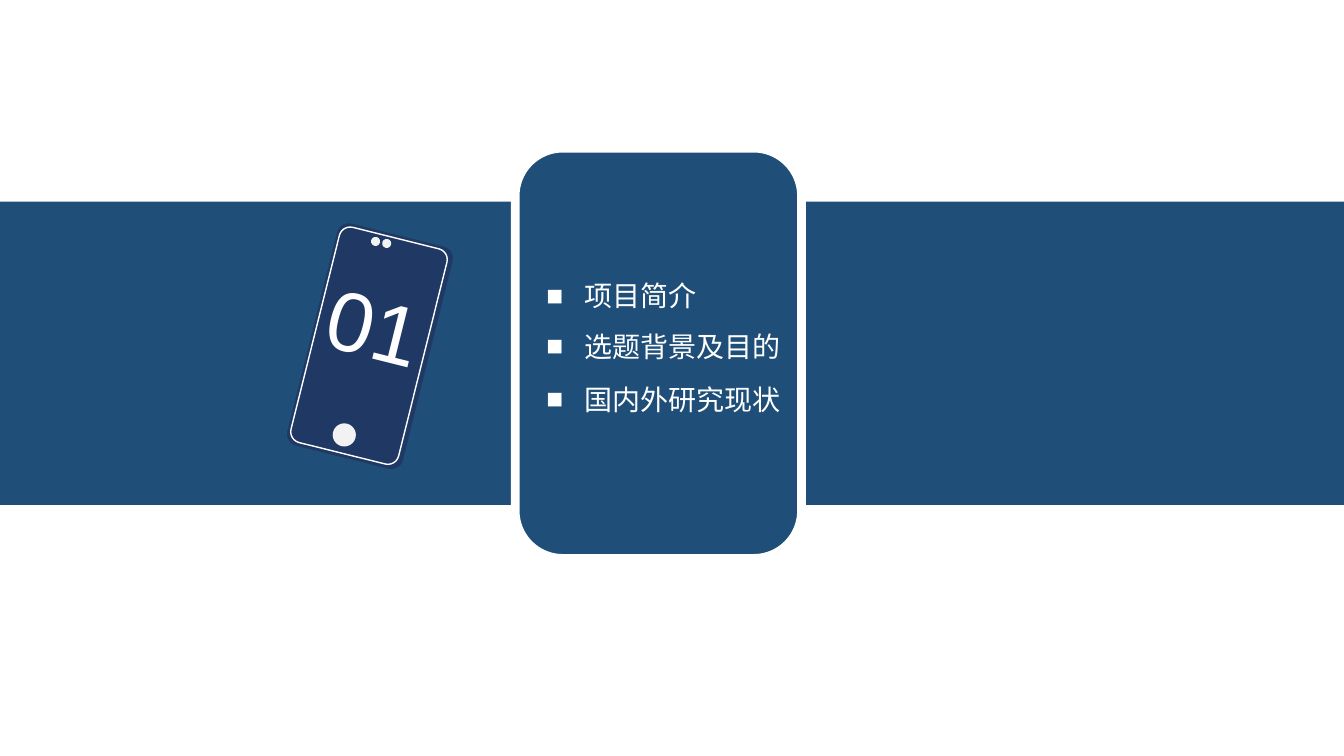
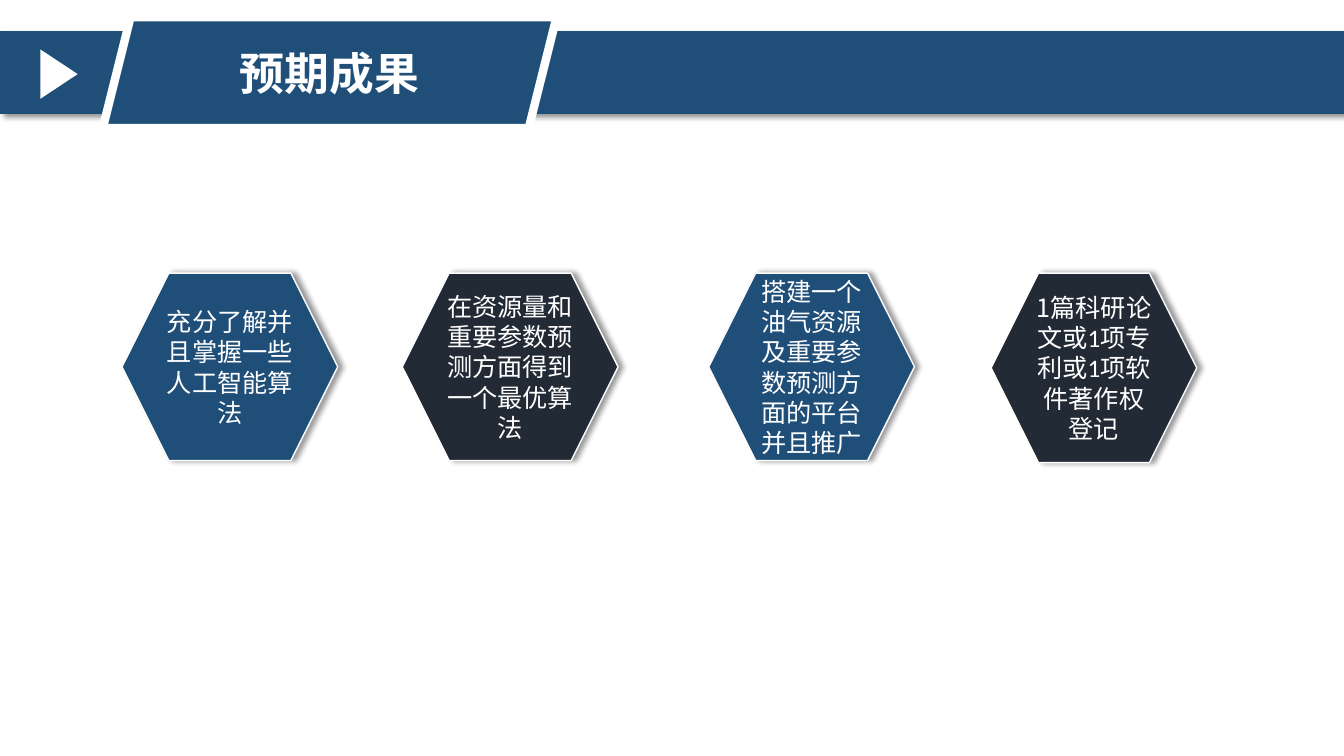
from lxml.etree import SubElement as Sub
from pptx import Presentation as Deck
from pptx.dml.color import RGBColor as Rgb
from pptx.enum.shapes import MSO_SHAPE as Kind
from pptx.enum.text import MSO_ANCHOR as Anchor, MSO_AUTO_SIZE as Fit, PP_ALIGN as Align
from pptx.oxml.ns import qn
from pptx.util import Inches, Pt

BLUE = Rgb(0x1F, 0x4E, 0x79)
NAVY = Rgb(0x20, 0x38, 0x64)
DARK = Rgb(0x22, 0x2A, 0x35)
PALE = Rgb(0xF2, 0xF2, 0xF2)
WHITE = Rgb(0xFF, 0xFF, 0xFF)
BODY = "Calibri"
WIDE, HIGH = 13.33, 7.5
TILT = 14


def place(box):
    """Turn a box in inches into lengths."""
    return [Inches(n) for n in box]


def draw(slide, kind, box, fill=None, line=0, turn=0, round=None):
    """Draw a flat shape with an optional white outline."""
    shape = slide.shapes.add_shape(kind, *place(box))
    shape.shadow.inherit = False
    shape.rotation = turn
    if round is not None:
        shape.adjustments[0] = round
    if fill is None:
        shape.fill.background()
    else:
        shape.fill.solid()
        shape.fill.fore_color.rgb = fill
    if line:
        shape.line.color.rgb = WHITE
        shape.line.width = Pt(line)
    else:
        shape.line.fill.background()
    return shape


def shade(shape, angle):
    """Cast a soft black shadow at an angle in degrees."""
    effects = shape._element.spPr.find(qn("a:effectLst"))
    cast = Sub(effects, qn("a:outerShdw"), blurRad=str(Pt(4)), dist=str(Pt(3)),
               dir=str(angle * 60000), algn="tl", rotWithShape="0")
    tone = Sub(cast, qn("a:srgbClr"), val="000000")
    Sub(tone, qn("a:alpha"), val="40000")


def write(para, text, size, face=BODY, bold=False):
    """Add one white run to a paragraph."""
    run = para.add_run()
    run.text = text
    font = run.font
    font.name, font.size, font.bold = face, Pt(size), bold
    font.color.rgb = WHITE
    Sub(run._r.get_or_add_rPr(), qn("a:ea"), typeface=face)


def label(shape, runs, size, bold=False):
    """Centre a line of text and face pairs in a shape."""
    frame = shape.text_frame
    frame.word_wrap = True
    frame.vertical_anchor = Anchor.MIDDLE
    para = frame.paragraphs[0]
    para.alignment = Align.CENTER
    for text, face in runs:
        write(para, text, size, face, bold)


def text_box(slide, box, wrap):
    """Add a text box that grows with its text."""
    shape = slide.shapes.add_textbox(*place(box))
    shape.text_frame.word_wrap = wrap
    shape.text_frame.auto_size = Fit.SHAPE_TO_FIT_TEXT
    return shape


def phone(slide, box, number):
    """Draw a tilted phone that shows a section number."""
    left, top, width, height = box
    edge = 0.03
    inner = (left + edge, top + edge, width - 0.08, height - 0.07)
    draw(slide, Kind.ROUNDED_RECTANGLE, box, NAVY, turn=TILT, round=0.1)
    draw(slide, Kind.ROUNDED_RECTANGLE, inner, line=1, turn=TILT, round=0.1)
    screen = text_box(slide, (left + 0.07, top + 0.39, 1.28, 1.11), True)
    screen.rotation = TILT
    write(screen.text_frame.paragraphs[0], number, 60, "Arial")
    for right, down, size in ((0.22, 1.9, 0.23), (0.6, 0.05, 0.09), (0.71, 0.07, 0.09)):
        draw(slide, Kind.OVAL, (left + right, top + down, size, size), PALE, turn=TILT)


def points(slide, box, items):
    """Write a list with square bullets."""
    frame = text_box(slide, box, False).text_frame
    for spot, item in enumerate(items):
        para = frame.add_paragraph() if spot else frame.paragraphs[0]
        para.line_spacing = 1.5
        props = para._p.get_or_add_pPr()
        props.set("marL", str(Inches(0.38)))
        props.set("indent", str(Inches(-0.38)))
        Sub(props, qn("a:buFont"), typeface="Arial")
        Sub(props, qn("a:buChar"), char="■")
        write(para, item, 20)


def panel(slide, box, lists):
    """Draw a rounded card that holds lists at given depths."""
    left, top, width, height = box
    draw(slide, Kind.ROUNDED_RECTANGLE, box, BLUE, line=6.25)
    for down, wide, items in lists:
        points(slide, (left + 0.21, top + down, wide, 1.06), items)


def section(slide, number, lists):
    """Build a section slide."""
    draw(slide, Kind.RECTANGLE, (0, 2, WIDE, 3.01), BLUE)
    phone(slide, (3.08, 2.3, 1.18, 2.27), number)
    panel(slide, (5.11, 1.47, 2.84, 4.07), lists)


def header(slide, box, title):
    """Draw the title band with its arrow and slanted tab."""
    left, top, width, height = box
    shade(draw(slide, Kind.RECTANGLE, box, BLUE), 45)
    draw(slide, Kind.ISOSCELES_TRIANGLE, (left + 0.34, top + 0.24, 0.49, 0.37), WHITE, turn=90)
    tab = draw(slide, Kind.PARALLELOGRAM, (left + 1.02, top - 0.14, 4.5, 1.1), BLUE, line=6)
    label(tab, [(title, BODY)], 32, True)


def cells(slide, top, items):
    """Draw a row of hexagons in two colours by turns."""
    for spot, (left, width, height, runs) in enumerate(items):
        fill = DARK if spot % 2 else BLUE
        cell = draw(slide, Kind.HEXAGON, (left, top, width, height), fill, line=1)
        shade(cell, 0)
        label(cell, runs, 18)


def results(slide, title, items):
    """Build a slide of results."""
    header(slide, (0, 0.31, WIDE, 0.82), title)
    cells(slide, 2.71, items)


def main():
    """Build and save the deck."""
    deck = Deck()
    deck.slide_width, deck.slide_height = Inches(WIDE), Inches(HIGH)
    first, second = (deck.slides.add_slide(deck.slide_layouts[6]) for _ in range(2))
    section(first, "01", [
        (1.08, 2.63, ["项目简介", "选题背景及目的"]),
        (2.11, 2.54, ["国内外研究现状"]),
    ])
    results(second, "预期成果", [
        (1.21, 2.14, 1.86, [("充分了解并且掌握一些人工智能算法", BODY)]),
        (3.99, 2.14, 1.86, [("在资源量和重要参数预测方面得到一个最优算法", BODY)]),
        (7.03, 2.04, 1.86, [("搭建一个油气资源及重要参数预测方面的平台并且推广", BODY)]),
        (9.83, 2.04, 1.88, [("1", "Noto Sans CJK SC"),
                            ("篇科研论文或1项专利或1项软件著作权登记", BODY)]),
    ])
    deck.save("out.pptx")


if __name__ == "__main__":
    main()
